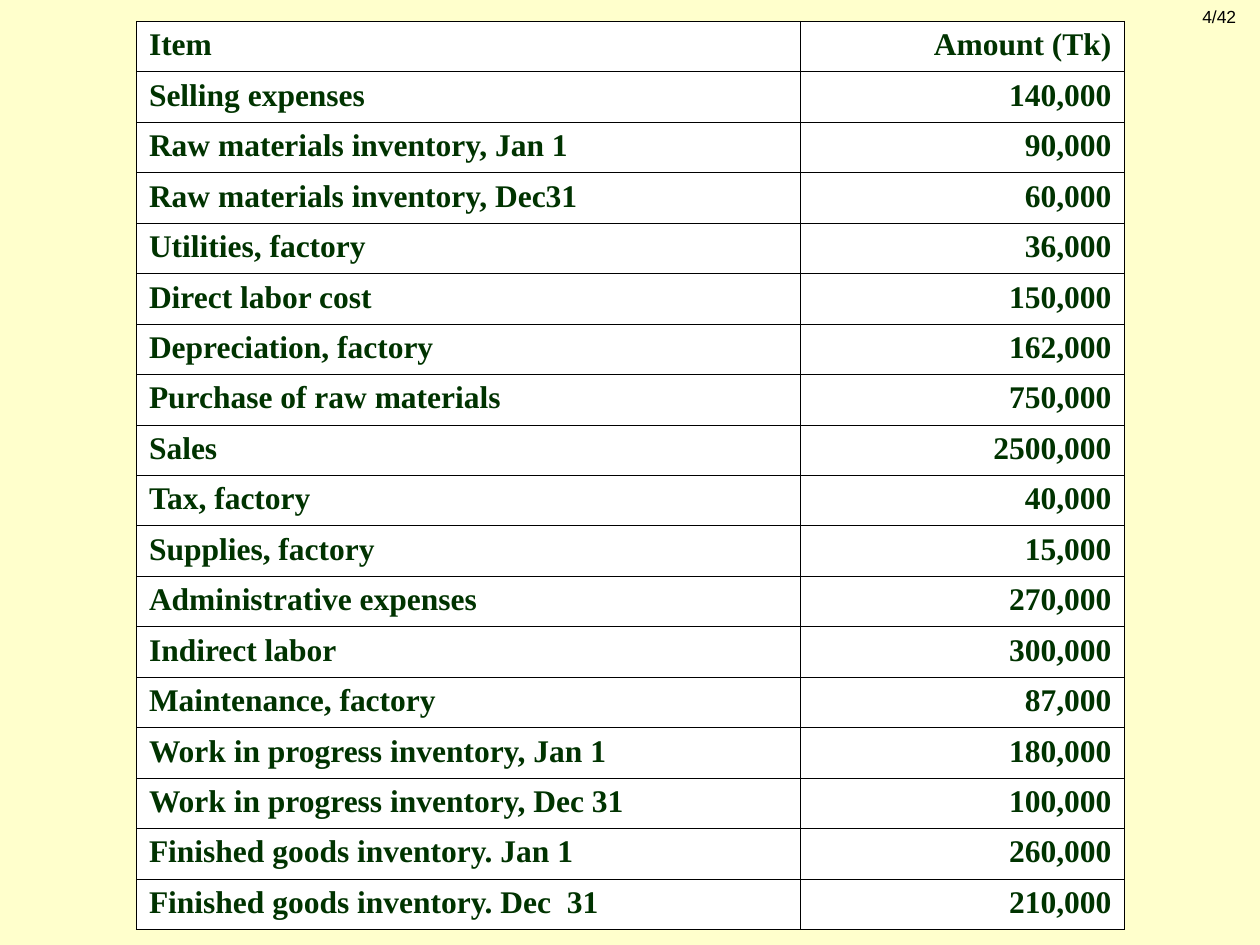
"""Build a slide with a table of manufacturing cost items."""
from lxml.etree import SubElement
from pptx import Presentation
from pptx.dml.color import RGBColor
from pptx.enum.text import PP_ALIGN
from pptx.oxml.ns import qn
from pptx.util import Cm, Pt

COST_ROWS = [
    ("Item", "Amount (Tk)"),
    ("Selling expenses", "140,000"),
    ("Raw materials inventory, Jan 1", "90,000"),
    ("Raw materials inventory, Dec31", "60,000"),
    ("Utilities, factory", "36,000"),
    ("Direct labor cost", "150,000"),
    ("Depreciation, factory", "162,000"),
    ("Purchase of raw materials", "750,000"),
    ("Sales", "2500,000"),
    ("Tax, factory", "40,000"),
    ("Supplies, factory", "15,000"),
    ("Administrative expenses", "270,000"),
    ("Indirect labor", "300,000"),
    ("Maintenance, factory", "87,000"),
    ("Work in progress inventory, Jan 1", "180,000"),
    ("Work in progress inventory, Dec 31", "100,000"),
    ("Finished goods inventory. Jan 1", "260,000"),
    ("Finished goods inventory. Dec  31", "210,000"),
]
COLUMN_WIDTHS = (Cm(13.39), Cm(6.52))
COLUMN_ALIGNMENTS = (PP_ALIGN.LEFT, PP_ALIGN.RIGHT)
TABLE_HEIGHT = Cm(18.29)


def color(hex_code):
    """Turn a hex string into a colour."""
    return RGBColor.from_string(hex_code)


def format_paragraph(paragraph, font_name, size, hex_code, alignment, bold=False):
    """Set the alignment and font of a paragraph."""
    paragraph.alignment = alignment
    font = paragraph.font
    font.name = font_name
    font.size = Pt(size)
    font.bold = bold
    font.color.rgb = color(hex_code)


def add_cell_borders(cell, hex_code, width):
    """Draw a thin solid line on all four sides of a cell."""
    properties = cell._tc.get_or_add_tcPr()
    for side in ("a:lnL", "a:lnR", "a:lnT", "a:lnB"):
        line = SubElement(properties, qn(side), w=str(Pt(width)))
        fill = SubElement(line, qn("a:solidFill"))
        SubElement(fill, qn("a:srgbClr"), val=hex_code)


def fill_cell(cell, text, alignment):
    """Write and format one table cell."""
    cell.text = text
    paragraph = cell.text_frame.paragraphs[0]
    properties = paragraph._p.get_or_add_pPr()
    properties.set("marL", str(Cm(0.95)))
    properties.set("indent", str(-Cm(0.95)))
    format_paragraph(paragraph, "Times New Roman", 18, "003300", alignment, bold=True)
    add_cell_borders(cell, "000000", 0.45)
    cell.fill.solid()
    cell.fill.fore_color.rgb = color("FFFFFF")


def add_cost_table(slide):
    """Add the table of cost items and amounts."""
    table = slide.shapes.add_table(
        len(COST_ROWS), len(COLUMN_WIDTHS), Cm(2.75), Cm(0.43),
        sum(COLUMN_WIDTHS), TABLE_HEIGHT,
    ).table
    table.first_row = False
    table.horz_banding = False
    for column, width in zip(table.columns, COLUMN_WIDTHS):
        column.width = width
    for row, texts in zip(table.rows, COST_ROWS):
        for cell, text, alignment in zip(row.cells, texts, COLUMN_ALIGNMENTS):
            fill_cell(cell, text, alignment)


def add_page_number(slide, text):
    """Add the page number in the top right corner."""
    box = slide.shapes.add_textbox(Cm(23.06), Cm(0), Cm(2.11), Cm(0.84))
    box.text_frame.word_wrap = True
    paragraph = box.text_frame.paragraphs[0]
    paragraph.text = text
    format_paragraph(paragraph, "Arial", 10, "000000", PP_ALIGN.RIGHT)


def main():
    """Build and save the presentation."""
    presentation = Presentation()
    presentation.slide_width = Cm(25.4)
    presentation.slide_height = Cm(19.05)
    slide = presentation.slides.add_slide(presentation.slide_layouts[6])
    slide.background.fill.solid()
    slide.background.fill.fore_color.rgb = color("FFFFCC")
    add_page_number(slide, "4/42")
    add_cost_table(slide)
    presentation.save("out.pptx")


if __name__ == "__main__":
    main()
